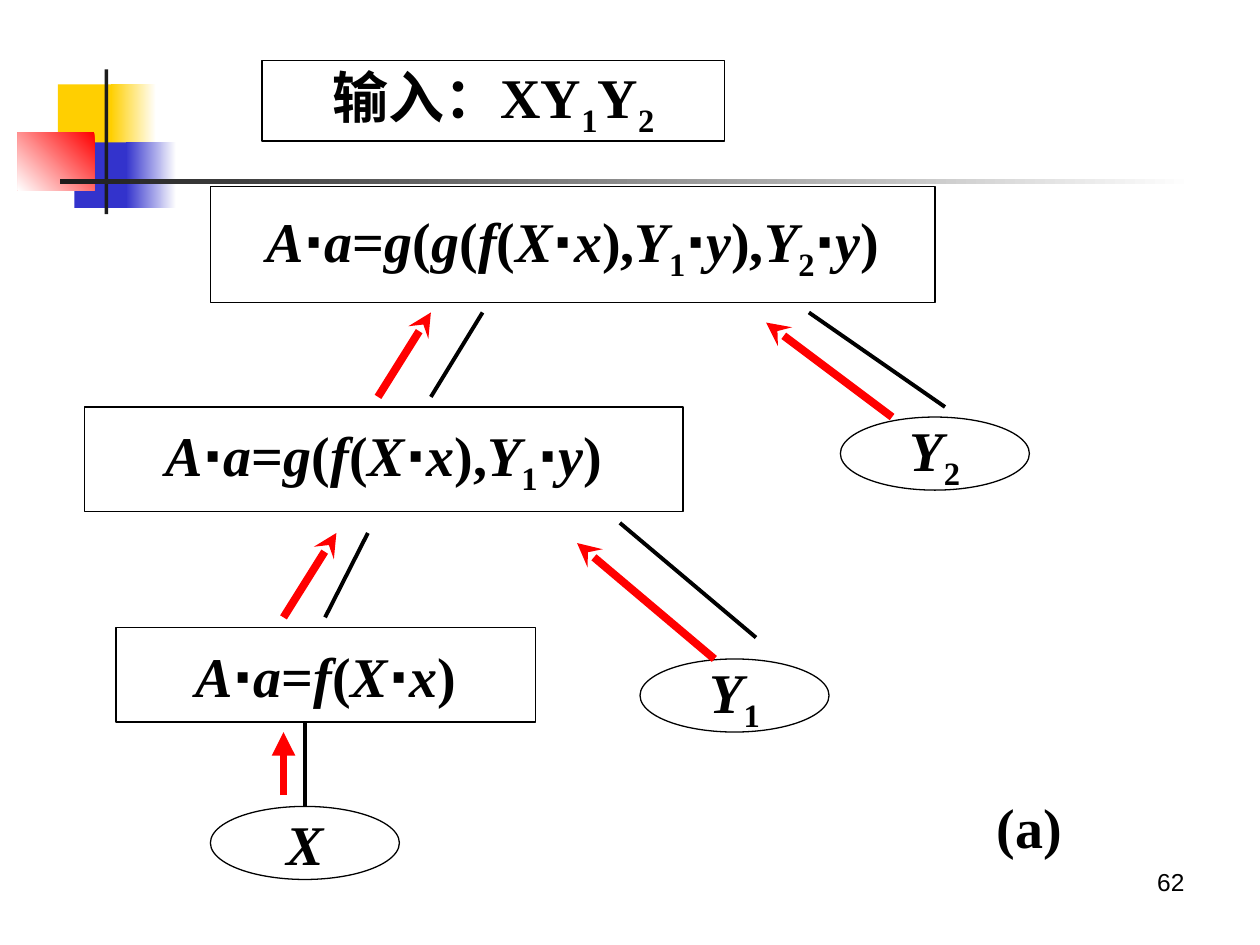
from itertools import groupby
from typing import NamedTuple, Optional

from lxml import etree
from pptx import Presentation
from pptx.dml.color import RGBColor
from pptx.enum import shapes, text
from pptx.oxml import ns
from pptx.util import Inches, Pt

COLORS = {"black": "000000", "white": "FFFFFF", "yellow": "FFCF01", "blue": "3333CC",
          "red": "FF0000", "charcoal": "1C1C1C"}
RECT = shapes.MSO_SHAPE.RECTANGLE
OVAL = shapes.MSO_SHAPE.OVAL
OVAL_SIZE = (1.5, 0.58)


class Block(NamedTuple):
    """Decoration; fades from color to end at a counterclockwise angle."""
    at: tuple
    color: str
    end: Optional[str] = None
    angle: float = 0


class Node(NamedTuple):
    label: str
    at: tuple
    kind: shapes.MSO_SHAPE = RECT


class Link(NamedTuple):
    start: tuple
    end: tuple
    head: Optional[str] = None


class Style(NamedTuple):
    font: str
    italic: bool = False
    subscript: bool = False


BLOCKS = [
    Block((0.46, 0.67, 0.48, 0.52), "yellow"),
    Block((0.88, 0.67, 0.36, 0.52), "white", "yellow", 180),
    Block((0.59, 1.13, 0.46, 0.52), "blue"),
    Block((1, 1.13, 0.4, 0.52), "white", "blue", 180),
    Block((0.14, 1.05, 0.61, 0.46), "red", "white", 225),
    Block((0.83, 0.55, 0.03, 1.15), "charcoal"),
    Block((0.48, 1.42, 9, 0.04), "white", "charcoal", 180),
]
NODES = [
    Node("A⋅a=g(g(f(X⋅x),Y1⋅y),Y2⋅y)", (1.67, 1.48, 5.75, 0.92)),
    Node("A⋅a=g(f(X⋅x),Y1⋅y)", (0.67, 3.23, 4.75, 0.83)),
    Node("A⋅a=f(X⋅x)", (0.92, 4.98, 3.33, 0.75)),
    Node("Y2", (6.67, 3.31, *OVAL_SIZE), OVAL),
    Node("Y1", (5.08, 5.23, *OVAL_SIZE), OVAL),
    Node("X", (1.67, 6.4, *OVAL_SIZE), OVAL),
]
X_LINK = Link((2.42, 6.4), (2.42, 5.73))
LINKS = [
    Link((2.58, 4.9), (2.92, 4.23)),
    Link((3.42, 3.15), (3.83, 2.48)),
    Link((7.5, 3.23), (6.42, 2.48)),
    Link((4.92, 4.15), (6, 5.06)),
    Link((2.25, 6.31), (2.25, 5.81), "triangle"),
    Link((7.08, 3.31), (6.08, 2.56), "stealth"),
    Link((3, 3.15), (3.42, 2.48), "stealth"),
    Link((5.67, 5.23), (4.58, 4.31), "stealth"),
    Link((2.25, 4.9), (2.67, 4.23), "stealth"),
]


def rgb(name: str) -> RGBColor:
    return RGBColor.from_string(COLORS[name])


def inches(values: tuple) -> list:
    return [Inches(v) for v in values]


def write(sp, words: str, *, size=32, font="Times New Roman", bold=True, italic=False,
          formula=True, align=text.PP_ALIGN.CENTER,
          anchor=text.MSO_ANCHOR.MIDDLE, wrap=False) -> None:
    """Write one line; in a formula digits are subscripts and dots are Arial."""
    def style(ch: str) -> Style:
        if formula and ch == "⋅":
            return Style("Arial")
        if formula and ch.isdigit():
            return Style(font, subscript=True)
        return Style(font, italic and ch.isalpha())

    tf = sp.text_frame
    tf.auto_size = text.MSO_AUTO_SIZE.NONE
    tf.word_wrap = wrap
    tf.vertical_anchor = anchor
    p = tf.paragraphs[0]
    p.alignment = align
    for look, chars in groupby(words, style):
        r = p.add_run()
        r.text = "".join(chars)
        r.font.size, r.font.bold, r.font.italic = Pt(size), bold, look.italic
        r.font.name = look.font
        r.font.color.rgb = rgb("black")
        if look.subscript:
            r.font._element.set("baseline", "-25000")


def outline(sp) -> None:
    sp.fill.background()
    sp.line.color.rgb = rgb("black")
    sp.line.width = Pt(0.75)


def add_block(slide, block: Block) -> None:
    sp = slide.shapes.add_shape(RECT, *inches(block.at))
    sp.shadow.inherit = False
    sp.line.fill.background()
    if block.end is None:
        sp.fill.solid()
        sp.fill.fore_color.rgb = rgb(block.color)
        return
    sp.fill.gradient()
    sp.fill.gradient_angle = block.angle
    for stop, color in zip(sp.fill.gradient_stops, (block.color, block.end)):
        stop.color.rgb = rgb(color)


def add_node(slide, node: Node):
    sp = slide.shapes.add_shape(node.kind, *inches(node.at))
    sp.shadow.inherit = False
    outline(sp)
    write(sp, node.label, italic=True)
    return sp


def add_link(slide, link: Link):
    """Draw a black tree edge, or a red arrow when the link has a head."""
    line = slide.shapes.add_connector(
        shapes.MSO_CONNECTOR.STRAIGHT, *inches(link.start + link.end))
    line.line.color.rgb = rgb("red" if link.head else "black")
    line.line.width = Pt(4.5 if link.head else 2.25)
    if link.head:
        etree.SubElement(line.line._get_or_add_ln(), ns.qn("a:tailEnd"), type=link.head)
    etree.SubElement(line._element.spPr, ns.qn("a:effectLst"))
    return line


def main() -> None:
    prs = Presentation()
    prs.slide_width, prs.slide_height = Inches(10), Inches(7.5)
    slide = prs.slides.add_slide(prs.slide_layouts[5])

    title = slide.shapes.title
    title.left, title.top, title.width, title.height = inches((2.08, 0.48, 3.67, 0.64))
    outline(title)
    write(title, "输入：XY1Y2")

    for block in BLOCKS:
        add_block(slide, block)
    nodes = {node.label: add_node(slide, node) for node in NODES}
    add_link(slide, X_LINK).begin_connect(nodes["X"], 0)
    for link in LINKS:
        add_link(slide, link)

    caption = slide.shapes.add_textbox(*inches((7.81, 6.24, 0.72, 0.64)))
    write(caption, "(a)")
    number = slide.shapes.add_textbox(*inches((7.17, 6.83, 2.33, 0.52)))
    write(number, "62", size=14, font="Arial", bold=False, formula=False,
          align=text.PP_ALIGN.RIGHT, anchor=text.MSO_ANCHOR.TOP, wrap=True)

    prs.save("out.pptx")


if __name__ == "__main__":
    main()
